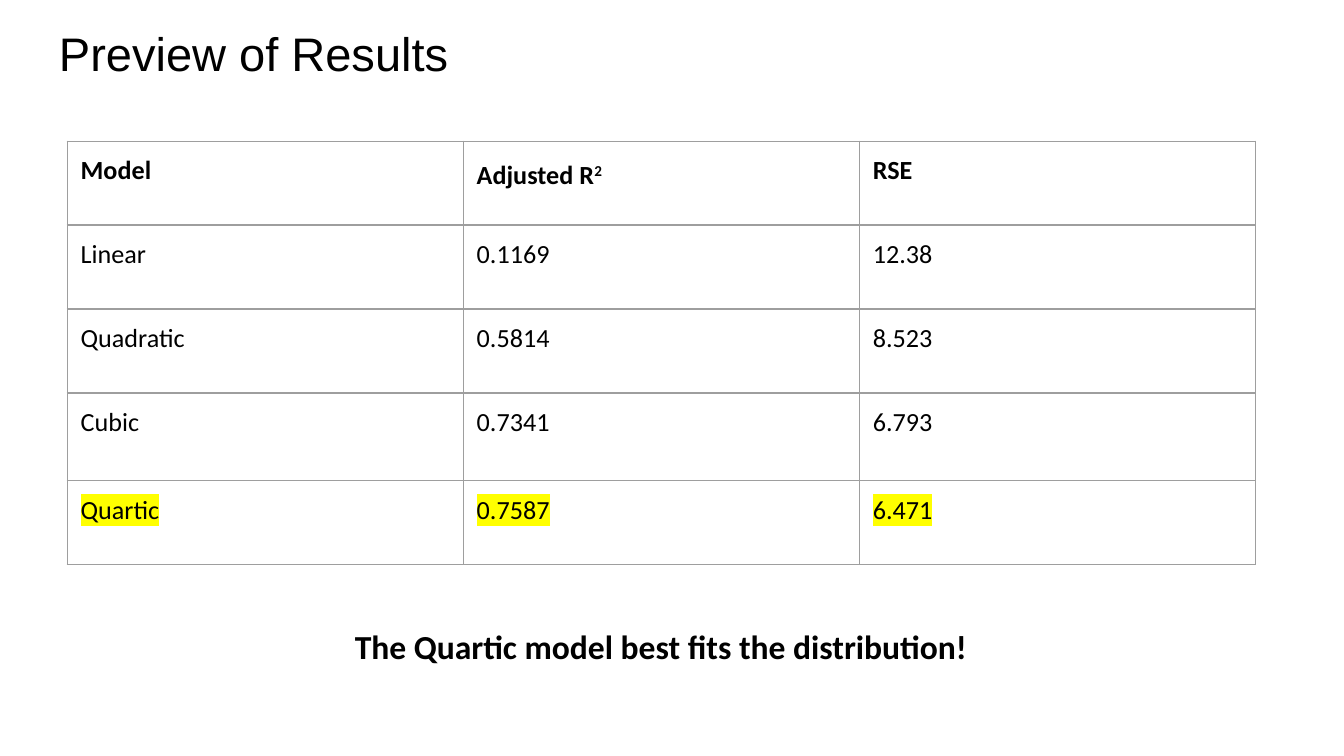
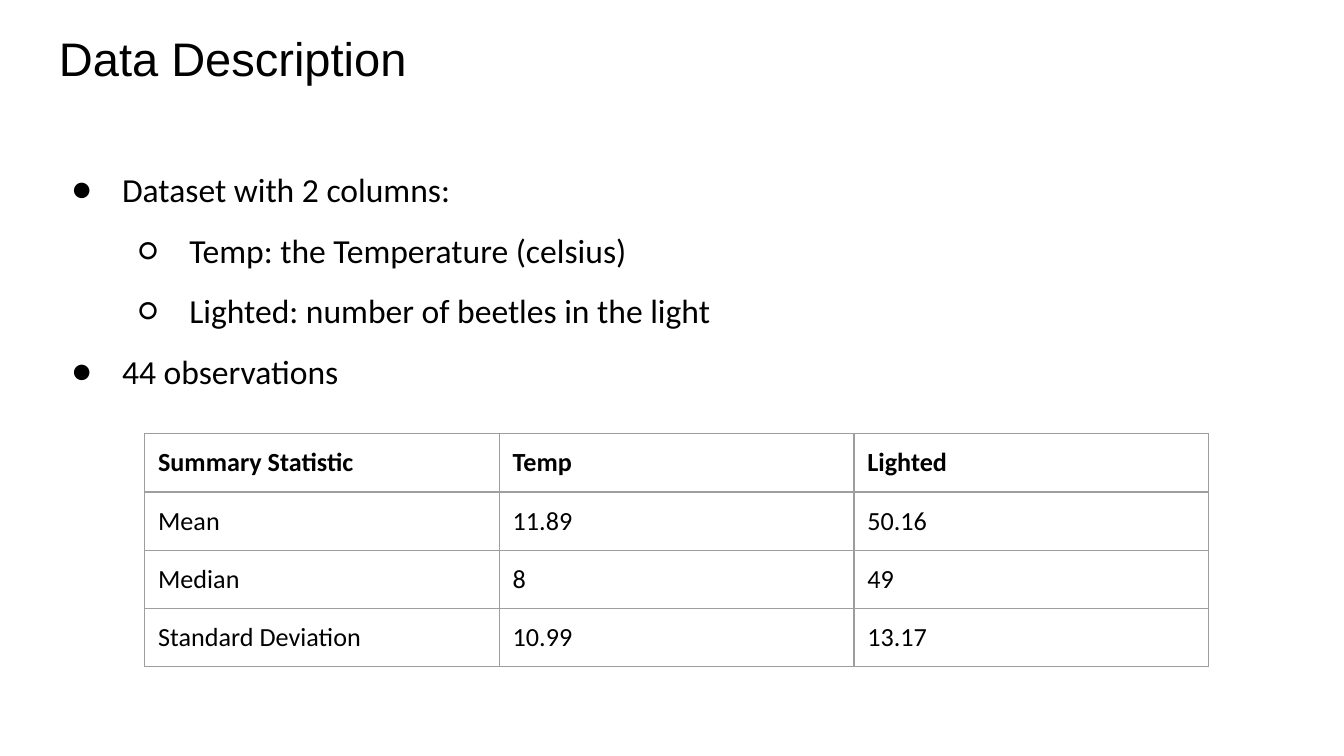
"""Build two slides that describe a dataset and preview its model results."""
from dataclasses import dataclass

from lxml import etree
from pptx import Presentation
from pptx import util as u
from pptx.dml.color import RGBColor
from pptx.enum import text
from pptx.oxml import ns


@dataclass(frozen=True)
class Theme:
    paper: str = "FFFFFF"
    ink: str = "000000"
    rule: str = "9E9E9E"
    marker: str = "FFFF00"
    title_font: str = "Arial"
    body_font: str = "Calibri"
    title_size: float = 25.2
    body_size: float = 18
    cell_size: float = 14
    rule_width: float = 0.75
    inset: float = 7.2


def assign(target, values):
    for name, value in values.items():
        setattr(target, name, value)


def add_node(parent, tag, **attributes):
    return etree.SubElement(parent, ns.qn(tag), attributes)


class SlideWriter:
    def __init__(self, deck, theme):
        self.deck, self.theme, self.slide = deck, theme, None
        self.margins = {f"margin_{side}": u.Pt(theme.inset)
                        for side in ("left", "right", "top", "bottom")}

    def new_slide(self):
        self.slide = self.deck.slides.add_slide(self.deck.slide_layouts[6])
        fill = self.slide.background.fill
        fill.solid()
        fill.fore_color.rgb = RGBColor.from_string(self.theme.paper)

    def span(self, para, words, size, font=None, bold=False):
        span = para.add_run()
        span.text = words
        assign(span.font, {"name": font or self.theme.body_font,
                           "size": u.Pt(size), "bold": bold})
        span.font.color.rgb = RGBColor.from_string(self.theme.ink)
        return span

    def box(self, left, top, width, height):
        box = self.slide.shapes.add_textbox(*map(u.Pt, (left, top, width, height)))
        assign(box.text_frame, {"word_wrap": True, **self.margins,
                                "vertical_anchor": text.MSO_ANCHOR.TOP})
        return box.text_frame

    def title(self, words, top):
        para = self.box(24.5, top, 671, 45).paragraphs[0]
        self.span(para, words, self.theme.title_size, self.theme.title_font)

    def caption(self, words, left, top, width, height):
        para = self.box(left, top, width, height).paragraphs[0]
        para.alignment = text.PP_ALIGN.CENTER
        self.span(para, words, self.theme.body_size, bold=True)

    def bullets(self, items, left, top, width, height):
        frame = self.box(left, top, width, height)
        for index, (level, words) in enumerate(items):
            para = frame.add_paragraph() if index else frame.paragraphs[0]
            assign(para, {"level": level, "line_spacing": 1.5})
            props = para._p.get_or_add_pPr()
            props.set("marL", str(u.Pt(36 * (level + 1))))
            props.set("indent", str(u.Pt(-27)))
            add_node(add_node(props, "a:buClr"), "a:srgbClr", val=self.theme.ink)
            add_node(props, "a:buFont", typeface=self.theme.body_font)
            add_node(props, "a:buChar", char="●○"[level])
            self.span(para, words, self.theme.body_size)

    def border(self, cell):
        props = cell._tc.get_or_add_tcPr()
        for index, side in enumerate("LRTB"):
            line = etree.Element(ns.qn(f"a:ln{side}"),
                                 w=str(u.Pt(self.theme.rule_width)))
            add_node(add_node(line, "a:solidFill"), "a:srgbClr", val=self.theme.rule)
            props.insert(index, line)

    def highlight(self, span):
        props = span._r.get_or_add_rPr()
        mark = etree.Element(ns.qn("a:highlight"))
        add_node(mark, "a:srgbClr", val=self.theme.marker)
        props.find(ns.qn("a:solidFill")).addnext(mark)

    def table(self, rows, left, top, column_width, heights, marked_row=None):
        columns = len(rows[0])
        table = self.slide.shapes.add_table(
            len(rows), columns, u.Pt(left), u.Pt(top),
            u.Pt(column_width * columns), u.Pt(sum(heights))).table
        assign(table, {"first_row": False, "horz_banding": False})
        for column in table.columns:
            column.width = u.Pt(column_width)
        for r, (values, height) in enumerate(zip(rows, heights)):
            table.rows[r].height = u.Pt(height)
            for c, value in enumerate(values):
                cell = table.cell(r, c)
                assign(cell, self.margins)
                cell.fill.background()
                self.border(cell)
                para = cell.text_frame.paragraphs[0]
                base, _, power = value.partition("^")
                span = self.span(para, base, self.theme.cell_size, bold=r == 0)
                if power:
                    assign(para, {"line_spacing": 1.15, "space_after": u.Pt(12)})
                    raised = self.span(para, power, self.theme.cell_size, bold=r == 0)
                    raised._r.get_or_add_rPr().set("baseline", "30000")
                if r == marked_row:
                    self.highlight(span)


def results_slide(writer):
    writer.new_slide()
    writer.title("Preview of Results", 5.75)
    writer.table([("Model", "Adjusted R^2", "RSE"),
                  ("Linear", "0.1169", "12.38"),
                  ("Quadratic", "0.5814", "8.523"),
                  ("Cubic", "0.7341", "6.793"),
                  ("Quartic", "0.7587", "6.471")],
                 36, 75.6, 212.2, [45, 45, 45, 47, 45], marked_row=4)
    writer.caption("The Quartic model best fits the distribution!",
                   36, 328.3, 636.5, 36)


def data_slide(writer):
    writer.new_slide()
    writer.title("Data Description", 8.65)
    writer.bullets([(0, "Dataset with 2 columns:"),
                    (1, "Temp: the Temperature (celsius)"),
                    (1, "Lighted: number of beetles in the light"),
                    (0, "44 observations")], 22.3, 72.7, 671, 269.3)
    writer.table([("Summary Statistic", "Temp", "Lighted"),
                  ("Mean", "11.89", "50.16"),
                  ("Median", "8", "49"),
                  ("Standard Deviation", "10.99", "13.17")],
                 77.5, 232.3, 190, [30.2] * 4)


def main():
    deck = Presentation()
    assign(deck, {"slide_width": u.Pt(720), "slide_height": u.Pt(405)})
    writer = SlideWriter(deck, Theme())
    results_slide(writer)
    data_slide(writer)
    deck.save("out.pptx")


main()
